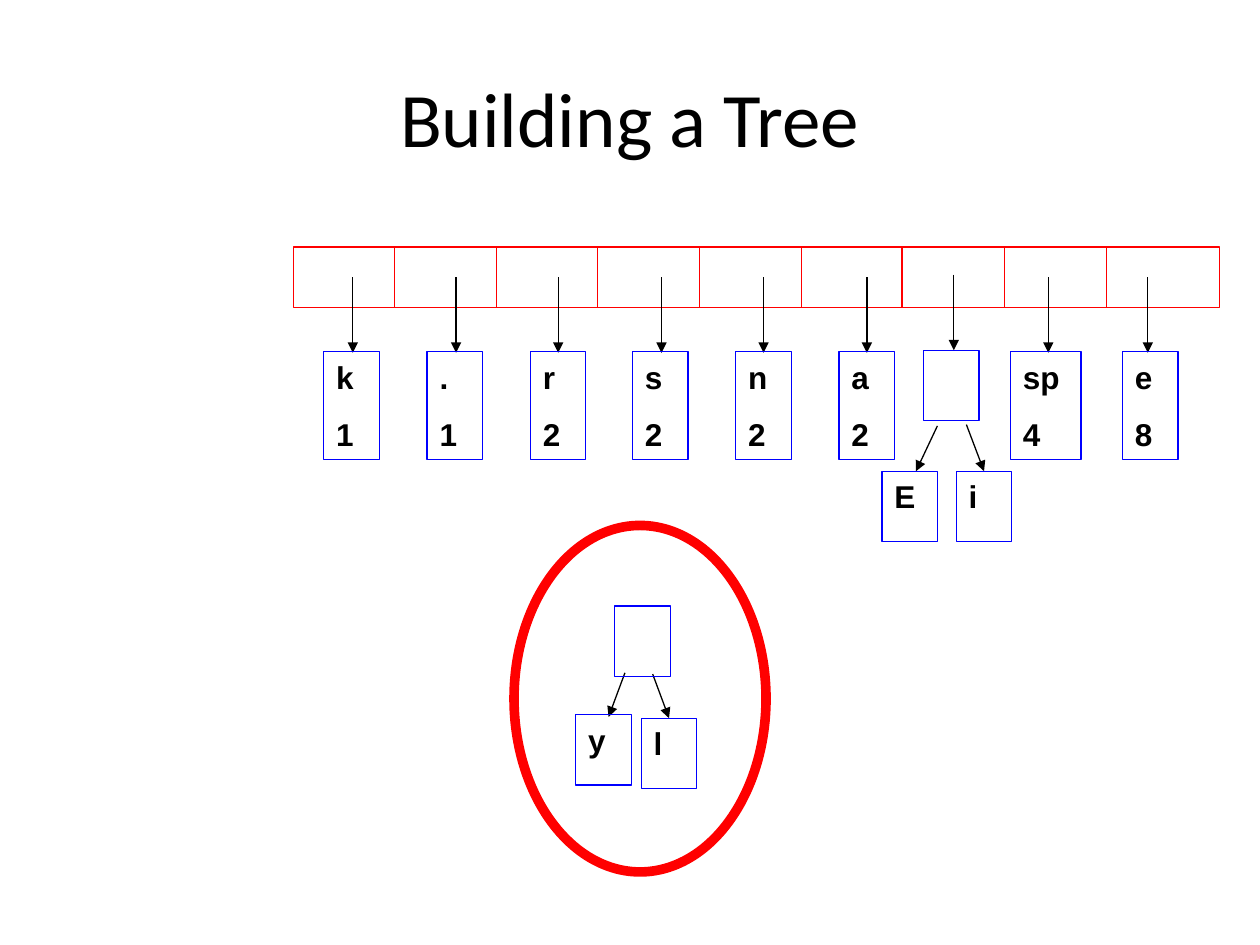
from dataclasses import dataclass

import pptx
import pptx.dml.color
import pptx.enum.shapes
import pptx.enum.text
import pptx.oxml
import pptx.oxml.ns
import pptx.util

PX = 9144  # 100 px to the inch
RED, BLUE, BLACK, WHITE = "FF0000", "0000FF", "000000", "FFFFFF"
SHAPES = pptx.enum.shapes.MSO_SHAPE


@dataclass
class Node:
    left: int
    top: int
    lines: tuple[str, ...] = ()
    width: int = 44
    height: int = 56


@dataclass
class Line:
    x1: int
    y1: int
    x2: int
    y2: int


def px(length: int) -> int:
    return pptx.util.Emu(length * PX)


def color(value: str):
    return pptx.dml.color.RGBColor.from_string(value)


def add_text(paragraph, text: str, font: str, size: int, bold: bool = False) -> None:
    run = paragraph.add_run()
    run.text = text
    run.font.name = font
    run.font.size = pptx.util.Pt(size)
    run.font.bold = bold
    run.font.color.rgb = color(BLACK)


def add_outline(slide, kind, left: int, top: int, width: int, height: int,
                line: str, weight: float = 0.75, fill: str | None = None):
    shape = slide.shapes.add_shape(kind, px(left), px(top), px(width), px(height))
    shape.shadow.inherit = False
    if fill:
        shape.fill.solid()
        shape.fill.fore_color.rgb = color(fill)
    else:
        shape.fill.background()
    shape.line.color.rgb = color(line)
    shape.line.width = pptx.util.Pt(weight)
    return shape


def add_line(slide, line: Line, line_color: str, arrow: bool = False) -> None:
    connector = slide.shapes.add_connector(
        pptx.enum.shapes.MSO_CONNECTOR.STRAIGHT,
        px(line.x1), px(line.y1), px(line.x2), px(line.y2))
    connector.line.color.rgb = color(line_color)
    connector.line.width = pptx.util.Pt(0.75)
    properties = connector._element.spPr
    if arrow:
        head = pptx.oxml.parse_xml(
            f'<a:tailEnd {pptx.oxml.ns.nsdecls("a")} type="triangle"/>')
        connector.line._get_or_add_ln().append(head)
    properties.append(pptx.oxml.parse_xml(
        f'<a:effectLst {pptx.oxml.ns.nsdecls("a")}/>'))


def add_node(slide, node: Node) -> None:
    shape = add_outline(slide, SHAPES.RECTANGLE, node.left, node.top,
                        node.width, node.height, BLUE)
    frame = shape.text_frame
    frame.word_wrap = True
    frame.vertical_anchor = pptx.enum.text.MSO_ANCHOR.TOP
    for index, text in enumerate(node.lines):
        paragraph = frame.add_paragraph() if index else frame.paragraphs[0]
        paragraph.alignment = pptx.enum.text.PP_ALIGN.LEFT
        if index:
            paragraph.space_before = pptx.util.Pt(11.2)
        add_text(paragraph, text, "Arial", 18, bold=True)


def add_title(slide, text: str) -> None:
    frame = slide.shapes.add_textbox(px(50), px(30), px(900), px(125)).text_frame
    frame.word_wrap = True
    frame.vertical_anchor = pptx.enum.text.MSO_ANCHOR.MIDDLE
    frame.paragraphs[0].alignment = pptx.enum.text.PP_ALIGN.CENTER
    add_text(frame.paragraphs[0], text, "Calibri", 44)


def main() -> None:
    presentation = pptx.Presentation()
    presentation.slide_width, presentation.slide_height = px(1000), px(750)
    slide = presentation.slides.add_slide(presentation.slide_layouts[6])
    add_title(slide, "Building a Tree")

    # Queue cells
    add_outline(slide, SHAPES.RECTANGLE, 233, 196, 735, 48, RED, fill=WHITE)
    for index in range(8):
        x = round(313 + 80.7 * index)
        add_line(slide, Line(x, 196, x, 244), RED)

    # Arrows from the queue to its nodes
    arrow_xs = [round(280 + 81.6 * index) for index in range(6)] + [832, 911]
    arrows = [Line(x, 220, x, 280) for x in arrow_xs]
    arrows.append(Line(757, 218, 757, 278))

    # Arrows from parents to children
    arrows += [Line(744, 338, 727, 374), Line(767, 337, 781, 374),
               Line(496, 534, 483, 569), Line(518, 535, 531, 570)]
    for arrow in arrows:
        add_line(slide, arrow, BLACK, arrow=True)

    # Single nodes: character and frequency
    letters = [("k", "1"), (".", "1"), ("r", "2"), ("s", "2"), ("n", "2"), ("a", "2")]
    nodes = [Node(round(257 + 81.8 * index), 279, lines, height=86)
             for index, lines in enumerate(letters)]
    nodes += [Node(802, 279, ("sp", "4"), width=56, height=86),
              Node(891, 279, ("e", "8"), height=86)]

    # Subtrees: parent, left child, right child
    nodes += [Node(733, 278), Node(700, 374, ("E",)), Node(759, 374, ("i",)),
              Node(488, 481), Node(457, 567, ("y",)), Node(509, 570, ("l",))]
    for node in nodes:
        add_node(slide, node)

    # Ring around the new subtree
    add_outline(slide, SHAPES.OVAL, 408, 417, 200, 275, RED, weight=5.5)
    presentation.save("out.pptx")


if __name__ == "__main__":
    main()
